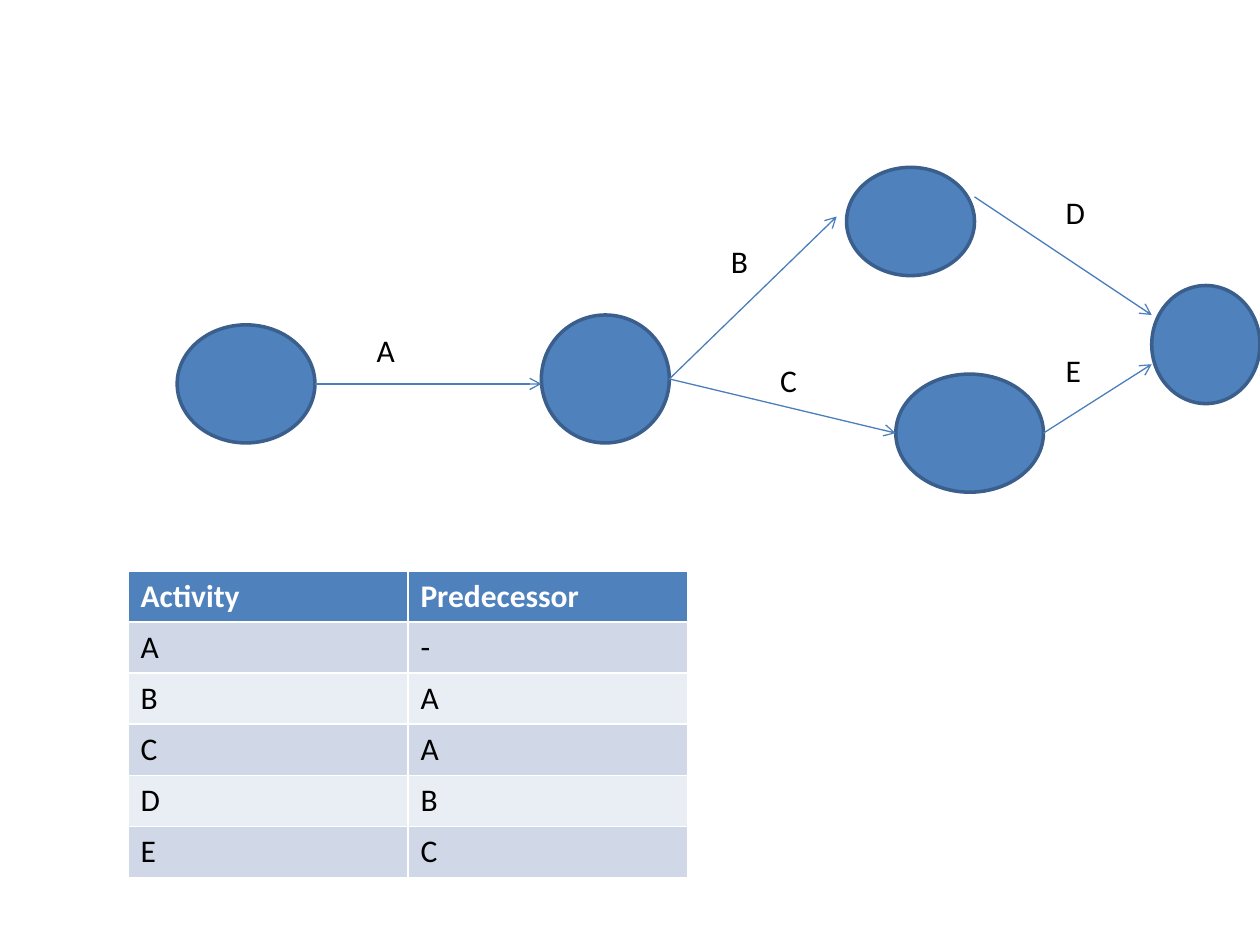
from dataclasses import dataclass
from typing import NamedTuple

from lxml.etree import SubElement
from pptx import Presentation
from pptx.dml.color import RGBColor as Color
from pptx.enum.shapes import MSO_CONNECTOR as Connector, MSO_SHAPE as Preset
from pptx.enum.text import MSO_AUTO_SIZE as AutoSize
from pptx.oxml.ns import qn
from pptx.util import Inches, Length, Pt


@dataclass(frozen=True)
class Theme:
    font: str = "Calibri"
    size: int = 18
    accent: str = "4F81BD"
    outline: str = "3A5F8C"
    arrow: str = "4B7EBC"
    bands: tuple = ("D0D8E8", "E9EDF4")
    text: str = "000000"
    header_text: str = "FFFFFF"


class Event(NamedTuple):
    left: float
    top: float
    width: float
    height: float


class Activity(NamedTuple):
    name: str
    predecessor: str
    start: tuple
    end: tuple
    label: tuple  # left, top, width


THEME = Theme()
SLIDE_WIDTH, SLIDE_HEIGHT = 10, 7.5
UNIT = SLIDE_WIDTH / 128  # the slide is a grid of 128 columns and 96 rows

EVENTS = [
    Event(18, 33, 14, 12),
    Event(55, 32, 13, 13),
    Event(86, 17, 13, 11),
    Event(91, 38, 15, 12),
    Event(117, 29, 11, 12),
]
ACTIVITIES = [
    Activity("A", "-", (32, 39), (55, 39), (37, 33, 7)),
    Activity("B", "A", (68, 38.5), (85, 22), (73, 24, 6)),
    Activity("C", "A", (68, 38.5), (91, 44), (78, 36, 5)),
    Activity("D", "B", (99, 20), (117, 32), (107, 19, 7)),
    Activity("E", "C", (106, 44), (117, 37), (107, 35, 6)),
]
LABEL_HEIGHT = 5.17
TABLE_LEFT, TABLE_TOP = 13, 58
COLUMN_WIDTH, ROW_HEIGHT = 28.44, 5.19


def grid(*counts: float) -> list[Length]:
    return [Inches(count * UNIT) for count in counts]


def write(frame, text: str, color: str, bold: bool = False) -> None:
    frame.text = text
    font = frame.paragraphs[0].runs[0].font
    font.name, font.size, font.bold = THEME.font, Pt(THEME.size), bold
    font.color.rgb = Color.from_string(color)


def draw_event(page, event: Event) -> None:
    oval = page.shapes.add_shape(Preset.OVAL, *grid(*event))
    oval.shadow.inherit = False
    oval.fill.solid()
    oval.fill.fore_color.rgb = Color.from_string(THEME.accent)
    oval.line.color.rgb = Color.from_string(THEME.outline)
    oval.line.width = Pt(2)


def draw_arrow(page, activity: Activity) -> None:
    arrow = page.shapes.add_connector(
        Connector.STRAIGHT, *grid(*activity.start, *activity.end))
    arrow.line.color.rgb = Color.from_string(THEME.arrow)
    arrow.line.width = Pt(0.75)
    SubElement(arrow.line._get_or_add_ln(), qn("a:tailEnd"), type="arrow")
    SubElement(arrow._element.spPr, qn("a:effectLst"))


def draw_label(page, activity: Activity) -> None:
    box = page.shapes.add_textbox(*grid(*activity.label, LABEL_HEIGHT))
    box.text_frame.word_wrap = True
    box.text_frame.auto_size = AutoSize.SHAPE_TO_FIT_TEXT
    write(box.text_frame, activity.name, THEME.text)


def draw_table(page, activities: list[Activity]) -> None:
    rows = [("Activity", "Predecessor")]
    rows += [(activity.name, activity.predecessor) for activity in activities]
    columns = len(rows[0])
    table = page.shapes.add_table(
        len(rows), columns,
        *grid(TABLE_LEFT, TABLE_TOP, columns * COLUMN_WIDTH, len(rows) * ROW_HEIGHT),
    ).table
    for r, row in enumerate(rows):
        header = r == 0
        fill = THEME.accent if header else THEME.bands[(r - 1) % 2]
        color = THEME.header_text if header else THEME.text
        for c, text in enumerate(row):
            cell = table.cell(r, c)
            cell.fill.solid()
            cell.fill.fore_color.rgb = Color.from_string(fill)
            write(cell.text_frame, text, color, bold=header)


def main() -> None:
    deck = Presentation()
    deck.slide_width, deck.slide_height = Inches(SLIDE_WIDTH), Inches(SLIDE_HEIGHT)
    page = deck.slides.add_slide(deck.slide_layouts[6])

    # Activity network
    for event in EVENTS:
        draw_event(page, event)
    for activity in ACTIVITIES:
        draw_arrow(page, activity)

    # Precedence table
    draw_table(page, ACTIVITIES)

    # Activity labels
    for activity in ACTIVITIES:
        draw_label(page, activity)

    deck.save("out.pptx")


if __name__ == "__main__":
    main()
